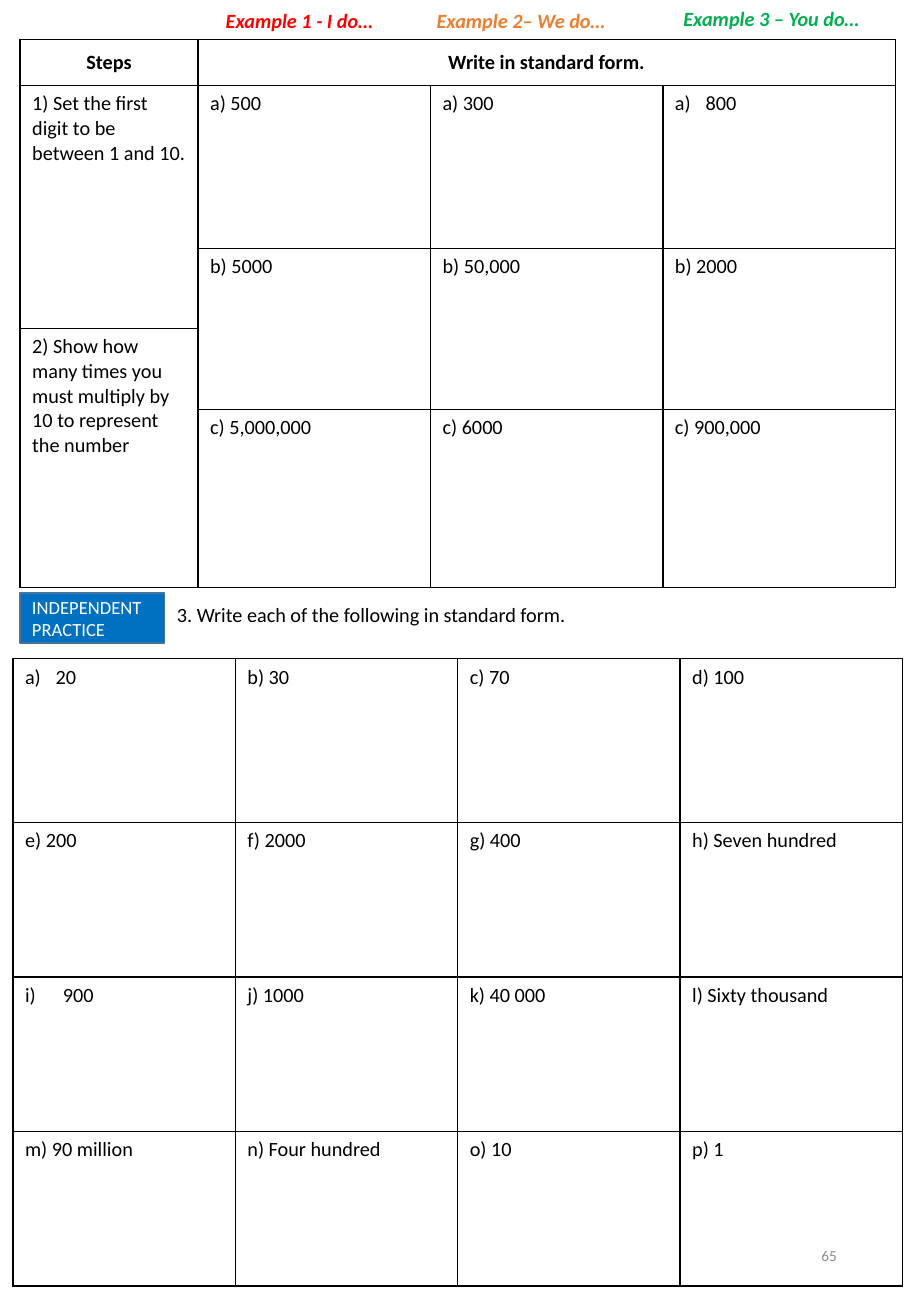
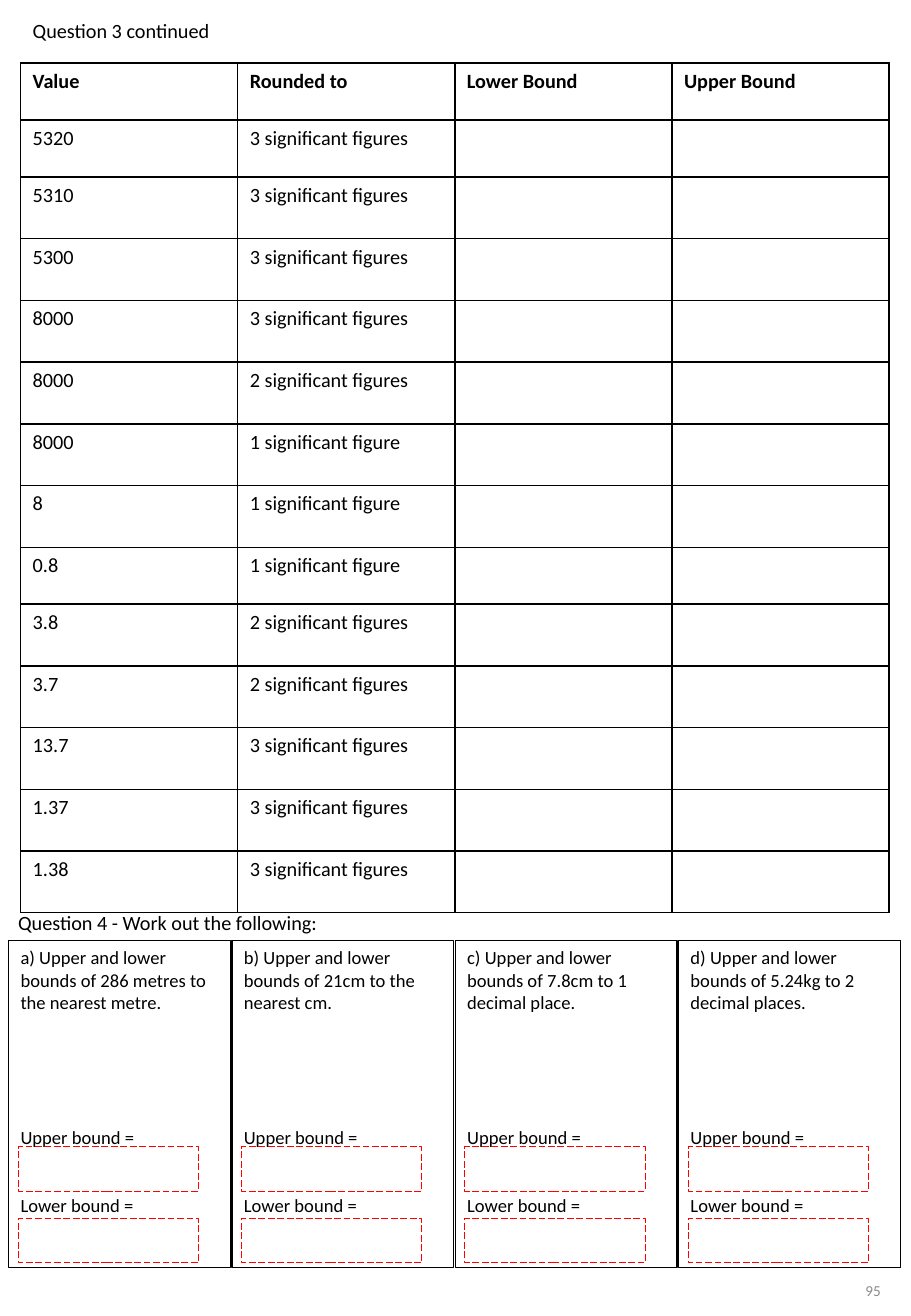
from dataclasses import dataclass

from lxml.etree import SubElement
from pptx import Presentation
from pptx.dml.color import RGBColor
from pptx.enum.dml import MSO_LINE
from pptx.enum.shapes import MSO_SHAPE
from pptx.enum.text import MSO_ANCHOR, PP_ALIGN
from pptx.oxml.ns import qn
from pptx.util import Cm, Pt


@dataclass(frozen=True)
class Theme:
    font: str = "Calibri"
    black: str = "000000"
    white: str = "FFFFFF"
    red: str = "FF0000"
    orange: str = "ED7D31"
    green: str = "00B050"
    blue: str = "0070C0"
    edge: str = "43739E"
    grey: str = "8C8C8C"
    body: int = 12
    small: int = 11
    foot: int = 9
    rule: float = 1


@dataclass(frozen=True)
class Item:
    text: str
    style: str
    indent: float


class Sheet:
    def __init__(self, deck, theme):
        self.deck = deck
        self.theme = theme
        self.slide = None

    def page(self):
        self.slide = self.deck.slides.add_slide(self.deck.slide_layouts[6])

    def words(self, para, text, size=None, color=None, bold=False, slant=False):
        run = para.add_run()
        run.text = text
        font = run.font
        font.name = self.theme.font
        font.size = Pt(size or self.theme.body)
        font.color.rgb = RGBColor.from_string(color or self.theme.black)
        font.bold = bold
        font.italic = slant

    def label(self, text, x, y, w, h=0.77, align=PP_ALIGN.LEFT,
              anchor=MSO_ANCHOR.TOP, **look):
        frame = self.slide.shapes.add_textbox(Cm(x), Cm(y), Cm(w), Cm(h)).text_frame
        frame.word_wrap = True
        frame.vertical_anchor = anchor
        para = frame.paragraphs[0]
        para.alignment = align
        self.words(para, text, **look)

    def number(self, text, x, y):
        self.label(text, x, y, 4.29, 1.47, PP_ALIGN.RIGHT, MSO_ANCHOR.MIDDLE,
                   size=self.theme.foot, color=self.theme.grey)

    def box(self, x, y, w, h, line, width, fill=None, dash=None):
        shape = self.slide.shapes.add_shape(
            MSO_SHAPE.RECTANGLE, Cm(x), Cm(y), Cm(w), Cm(h))
        shape.shadow.inherit = False
        if fill:
            shape.fill.solid()
            shape.fill.fore_color.rgb = RGBColor.from_string(fill)
        else:
            shape.fill.background()
        shape.line.color.rgb = RGBColor.from_string(line)
        shape.line.width = Pt(width)
        if dash:
            shape.line.dash_style = dash
        return shape.text_frame

    def badge(self, text, x, y, w, h):
        theme = self.theme
        frame = self.box(x, y, w, h, theme.edge, 1, theme.blue)
        frame.word_wrap = True
        frame.vertical_anchor = MSO_ANCHOR.MIDDLE
        para = frame.paragraphs[0]
        para.alignment = PP_ALIGN.LEFT
        self.words(para, text, theme.small, theme.white)

    def card(self, text, x, y):
        theme = self.theme
        frame = self.box(x, y, 4.64, 6.84, theme.black, 0.75)
        frame.word_wrap = True
        frame.vertical_anchor = MSO_ANCHOR.TOP
        lines = ((text, 0), ("Upper bound =", 67), ("Lower bound =", 27))
        for i, (line, gap) in enumerate(lines):
            para = frame.add_paragraph() if i else frame.paragraphs[0]
            para.alignment = PP_ALIGN.LEFT
            para.space_before = Pt(gap)
            self.words(para, line, theme.small)
        for drop in (4.31, 5.81):
            self.box(x + 0.2, y + drop, 3.77, 0.93, theme.red, 0.5,
                     dash=MSO_LINE.LONG_DASH)

    def border(self, cell, sides):
        props = cell._tc.get_or_add_tcPr()
        for side in sides:
            line = SubElement(props, qn(f"a:ln{side}"), w=str(Pt(self.theme.rule)))
            fill = SubElement(line, qn("a:solidFill"))
            SubElement(fill, qn("a:srgbClr"), val=self.theme.black)

    def entry(self, para, value, bold):
        if isinstance(value, Item):
            props = para._p.get_or_add_pPr()
            props.set("marL", str(Cm(value.indent)))
            props.set("indent", str(-Cm(value.indent)))
            SubElement(props, qn("a:buFont"), typeface="+mj-lt")
            SubElement(props, qn("a:buAutoNum"), type=value.style)
            value = value.text
        if value:
            self.words(para, value, bold=bold)

    def grid(self, x, y, cols, rows, cells, merges=(), fill=None,
             strong=None, center=False, bare=None):
        frame = self.slide.shapes.add_table(
            len(rows), len(cols), Cm(x), Cm(y), Cm(sum(cols)), Cm(sum(rows)))
        table = frame.table
        table.first_row = table.horz_banding = False
        for col, width in zip(table.columns, cols):
            col.width = Cm(width)
        for row, height in zip(table.rows, rows):
            row.height = Cm(height)
        for r, line in enumerate(cells):
            for c, value in enumerate(line):
                cell = table.cell(r, c)
                self.border(cell, "B" if r == bare else "LRTB")
                if fill:
                    cell.fill.solid()
                    cell.fill.fore_color.rgb = RGBColor.from_string(fill)
                else:
                    cell.fill.background()
                para = cell.text_frame.paragraphs[0]
                self.entry(para, value, r == strong)
                if center and r == strong:
                    para.alignment = PP_ALIGN.CENTER
                    cell.vertical_anchor = MSO_ANCHOR.MIDDLE
        for top, left, low, right in merges:
            table.cell(top, left).merge(table.cell(low, right))


def forms(sheet):
    theme = sheet.theme
    sheet.page()
    cells = (
        ("Steps", "Write in standard form.", "", ""),
        ("1) Set the first digit to be between 1 and 10.", "a) 500", "a) 300",
         Item("800", "alphaLcParenR", 0.64)),
        ("", "b) 5000", "b) 50,000", "b) 2000"),
        ("2) Show how many times you must multiply by 10 to represent the number",
         "", "", ""),
        ("", "c) 5,000,000", "c) 6000", "c) 900,000"),
    )
    merges = [(0, 1, 0, 3), (1, 0, 2, 0), (3, 0, 4, 0)]
    merges += [(2, c, 3, c) for c in (1, 2, 3)]
    sheet.grid(0.42, 0.83, [3.72] + [4.86] * 3, [0.96, 3.4, 1.68, 1.69, 3.72],
               cells, merges, theme.white, strong=0, center=True)
    heads = (
        ("Example 1 - I do…", 4.47, 0.05, 3.7, theme.red),
        ("Example 2– We do…", 8.88, 0.05, 4.11, theme.orange),
        ("Example 3 – You do…", 14.04, 0, 4.25, theme.green),
    )
    for text, x, y, w, color in heads:
        sheet.label(text, x, y, w, color=color, bold=True, slant=True)
    sheet.badge("INDEPENDENT PRACTICE", 0.42, 12.4, 3.02, 1.04)
    sheet.label("3. Write each of the following in standard form.", 3.45, 12.47, 9.25)
    tasks = (
        (Item("20", "alphaLcParenR", 0.64), "b) 30", "c) 70", "d) 100"),
        ("e) 200", "f) 2000", "g) 400", "h) Seven hundred"),
        (Item("900", "romanLcParenR", 0.79), "j) 1000", "k) 40 000",
         "l) Sixty thousand"),
        ("m) 90 million", "n) Four hundred", "o) 10", "p) 1"),
    )
    sheet.grid(0.27, 13.77, [4.65] * 4, [3.42] + [3.23] * 3, tasks)
    sheet.number("65", 13.46, 25.5)


def bounds(sheet):
    sheet.page()
    sheet.number("95", 14.38, 26.24)
    values = (
        ("5320", 3), ("5310", 3), ("5300", 3), ("8000", 3), ("8000", 2),
        ("8000", 1), ("8", 1), ("0.8", 1), ("3.8", 2), ("3.7", 2),
        ("13.7", 3), ("1.37", 3), ("1.38", 3),
    )
    cells = [("Question 3 continued", "", "", ""),
             ("Value", "Rounded to", "Lower Bound", "Upper Bound")]
    for value, count in values:
        plural = "s" if count > 1 else ""
        cells.append((value, f"{count} significant figure{plural}", "", ""))
    short, tall = 1.19, 1.29
    rows = [1.04, short, short] + [tall] * 6 + [short] + [tall] * 5
    sheet.grid(0.43, 0.28, [4.54] * 4, rows, cells, [(0, 0, 0, 3)],
               strong=1, bare=0)
    sheet.label("Question 4 - Work out the following:", 0.13, 18.9, 6.85)
    tasks = (
        "a) Upper and lower bounds of 286 metres to the nearest metre.",
        "b) Upper and lower bounds of 21cm to the nearest cm.",
        "c) Upper and lower bounds of 7.8cm to 1 decimal place.",
        "d) Upper and lower bounds of 5.24kg to 2 decimal places.",
    )
    for i, text in enumerate(tasks):
        sheet.card(text, 0.18 + i * 4.67, 19.66)


def main():
    deck = Presentation()
    deck.slide_width = Cm(19.05)
    deck.slide_height = Cm(27.51)
    sheet = Sheet(deck, Theme())
    forms(sheet)
    bounds(sheet)
    deck.save("out.pptx")


if __name__ == "__main__":
    main()
